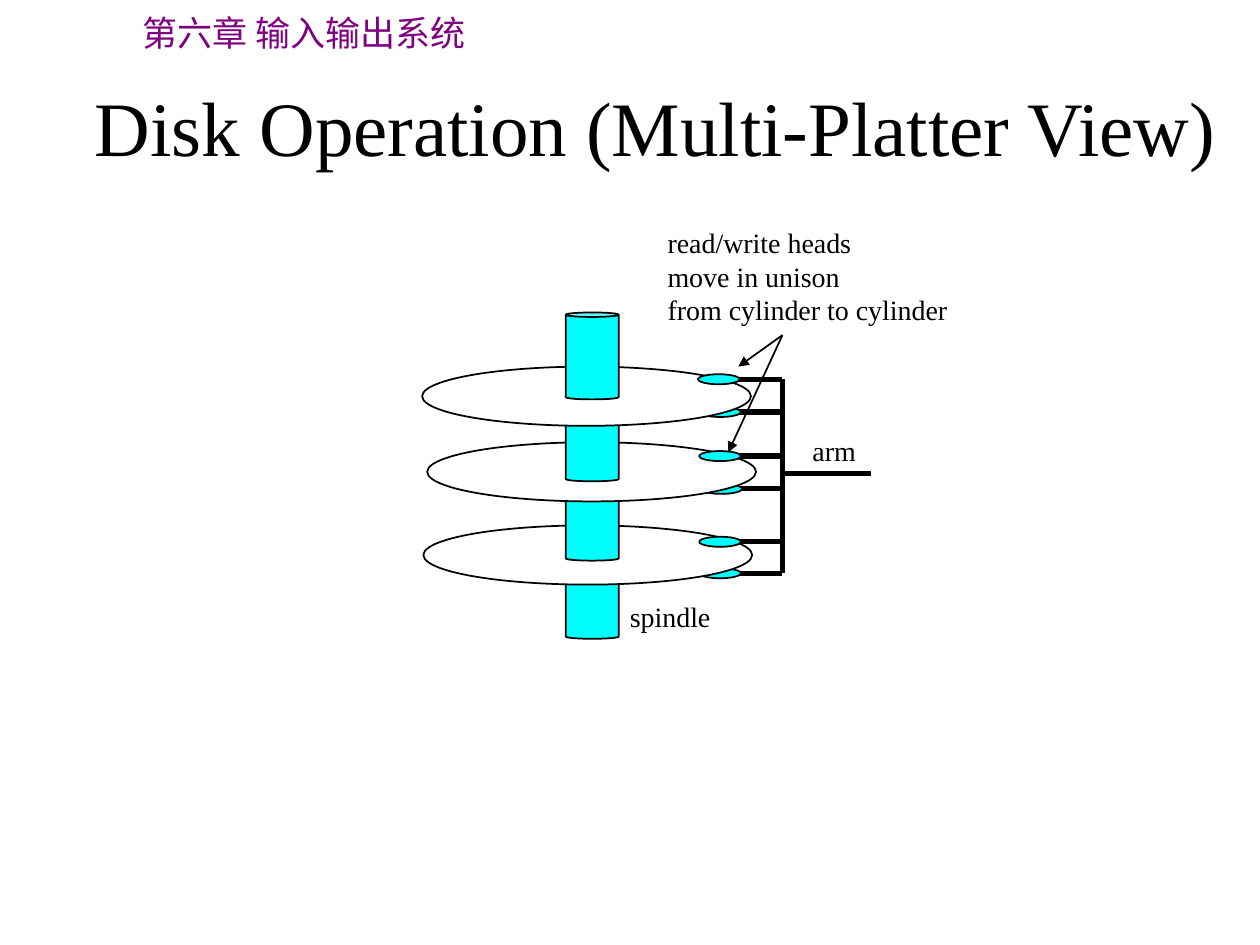
from lxml.etree import SubElement
from pptx import Presentation
from pptx.dml.color import RGBColor
from pptx.enum.shapes import MSO_CONNECTOR, MSO_SHAPE
from pptx.enum.text import MSO_ANCHOR, MSO_AUTO_SIZE, PP_ALIGN
from pptx.oxml.ns import qn
from pptx.util import Inches, Pt

BLACK, WHITE, CYAN, PURPLE = "000000", "FFFFFF", "00FFFF", "800080"
SERIF, CHINESE = "Times New Roman", "Noto Sans CJK SC"


def color(value):
    return RGBColor.from_string(value)


def set_font(para, size, name=SERIF, fill=BLACK):
    para.font.size = Pt(size)
    para.font.name = name
    para.font.color.rgb = color(fill)


def add_label(page, left, top, width, height, lines, size=16,
              name=SERIF, fill=BLACK, anchor=MSO_ANCHOR.MIDDLE):
    box = page.shapes.add_textbox(Inches(left), Inches(top), Inches(width), Inches(height))
    frame = box.text_frame
    frame.word_wrap = False
    frame.auto_size = MSO_AUTO_SIZE.SHAPE_TO_FIT_TEXT
    frame.vertical_anchor = anchor
    frame.text = "\n".join(lines)
    for para in frame.paragraphs:
        set_font(para, size, name, fill)
    return box


def add_part(page, kind, left, top, width, height, fill):
    part = page.shapes.add_shape(kind, Inches(left), Inches(top), Inches(width), Inches(height))
    part.shadow.inherit = False
    part.fill.solid()
    part.fill.fore_color.rgb = color(fill)
    part.line.color.rgb = color(BLACK)
    part.line.width = Pt(1)
    return part


def add_line(page, x1, y1, x2, y2, width=3, arrow=False):
    line = page.shapes.add_connector(
        MSO_CONNECTOR.STRAIGHT, Inches(x1), Inches(y1), Inches(x2), Inches(y2))
    line.line.color.rgb = color(BLACK)
    line.line.width = Pt(width)
    if arrow:
        SubElement(line.line._get_or_add_ln(), qn("a:tailEnd"), type="triangle")
    SubElement(line._element.spPr, qn("a:effectLst"))


def add_header(page, left, top, width, height):
    box = add_label(page, left, top, width, height, ["第六章 输入输出系统"],
                    20, CHINESE, PURPLE, MSO_ANCHOR.TOP)
    for span in box.text_frame.paragraphs[0].runs:
        SubElement(span._r.get_or_add_rPr(), qn("a:ea"), typeface=CHINESE)


def add_title(page, left, top, width, height):
    title = page.shapes.title
    title.left, title.top = Inches(left), Inches(top)
    title.width, title.height = Inches(width), Inches(height)
    title.text_frame.text = "Disk Operation (Multi-Platter View)"
    title.text_frame.vertical_anchor = MSO_ANCHOR.MIDDLE
    para = title.text_frame.paragraphs[0]
    para.alignment = PP_ALIGN.CENTER
    set_font(para, 44)


def add_spindle(page, left, top):
    spindle = add_part(page, MSO_SHAPE.CAN, left + 1.14, top, 0.42, 0.69, CYAN)
    spindle.adjustments[0] = 0.085


def add_head(page, left, top, arm_x):
    middle = top + 0.04
    add_line(page, arm_x, middle, arm_x - 0.5, middle)
    add_part(page, MSO_SHAPE.OVAL, left, top, 0.33, 0.08, CYAN)


def add_disk(page, left, top):
    arm_x = left + 2.86
    levels = [
        ((0.01, 1.69), (2.20, 1.78), (2.20, 2.03), 1.90),
        ((0.04, 1.03), (2.20, 1.10), (2.21, 1.36), 1.28),
        ((0.00, 0.43), (2.19, 0.49), (2.20, 0.75), 0.65),
    ]
    for platter, upper, lower, spindle_y in levels:
        add_head(page, left + lower[0], top + lower[1], arm_x)
        add_spindle(page, left, top + spindle_y)
        add_part(page, MSO_SHAPE.OVAL, left + platter[0], top + platter[1], 2.61, 0.47, WHITE)
        add_head(page, left + upper[0], top + upper[1], arm_x)
    add_spindle(page, left, top)
    add_line(page, arm_x, top + 0.53, arm_x, top + 2.07)
    add_line(page, arm_x, top + 1.28, arm_x + 0.7, top + 1.28)


def add_disk_labels(page, left, top):
    add_label(page, left + 3.0, top + 0.91, 0.6, 0.37, ["arm"])
    add_label(page, left + 1.55, top + 2.23, 0.88, 0.37, ["spindle"])
    add_label(page, left + 1.85, top - 0.74, 2.46, 0.9,
              ["read/write heads", "move in unison", "from cylinder to cylinder"])
    for x, y in [(2.51, 0.43), (2.43, 1.11)]:
        add_line(page, left + 2.86, top + 0.18, left + x, top + y, 1, arrow=True)


def main():
    deck = Presentation()
    deck.slide_width, deck.slide_height = Inches(10), Inches(7.5)
    page = deck.slides.add_slide(deck.slide_layouts[5])
    add_header(page, 1.03, 0.04, 2.85, 0.44)
    add_title(page, 0.44, 0.57, 9.53, 0.85)
    add_disk(page, 3.35, 2.48)
    add_disk_labels(page, 3.35, 2.48)
    deck.save("out.pptx")


if __name__ == "__main__":
    main()
